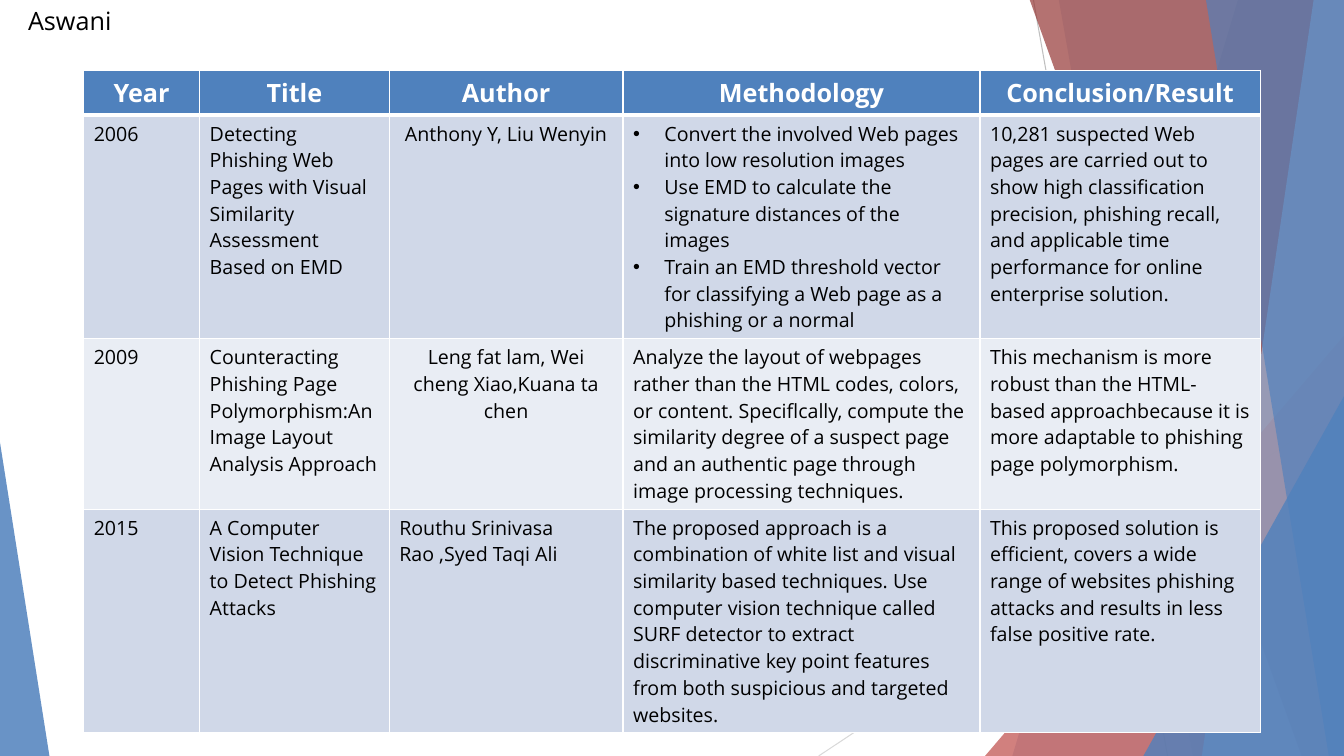
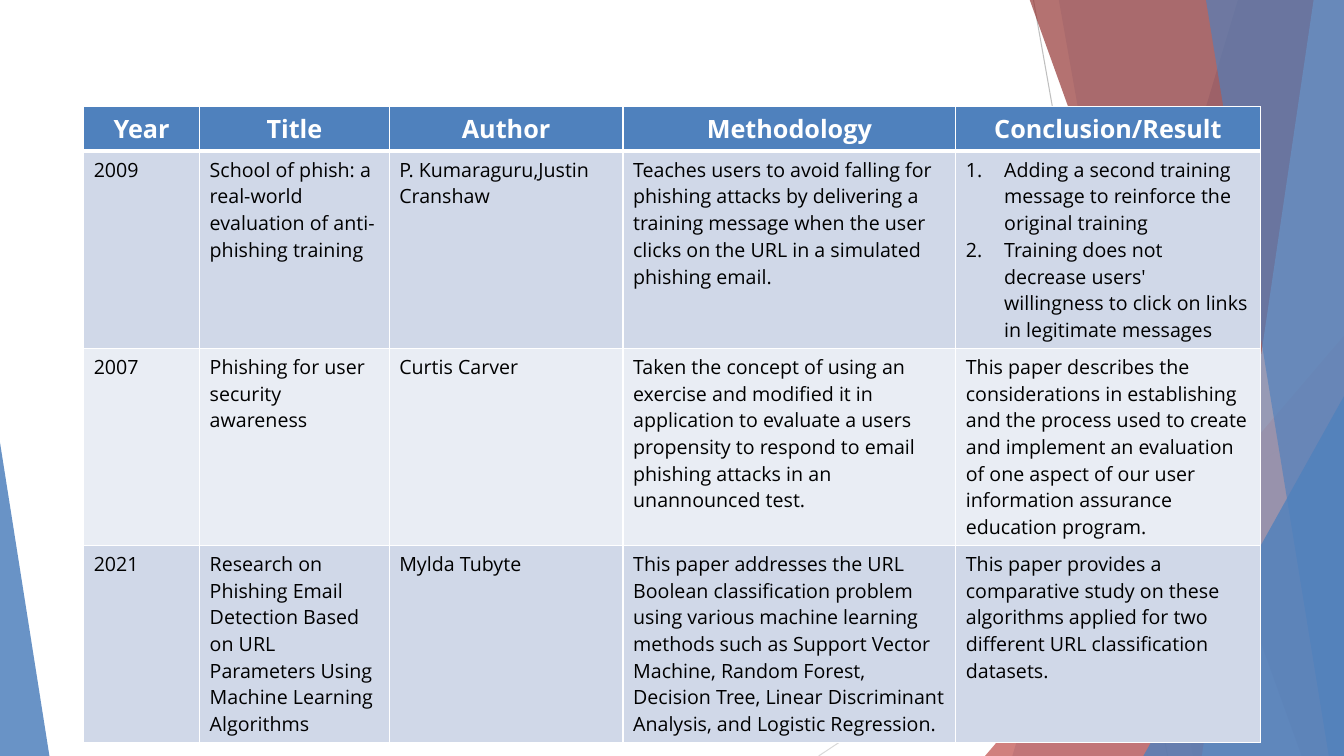
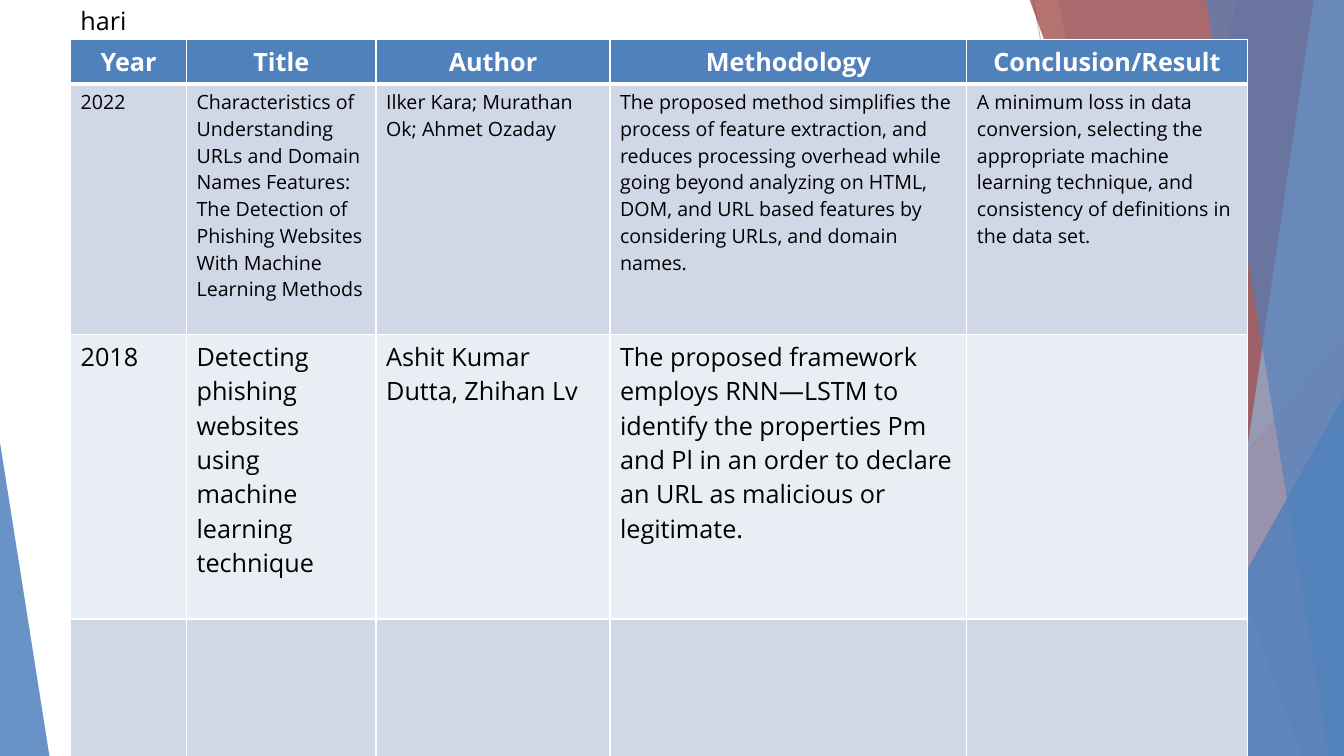
"""Literature survey: three slides of tables over a faceted background."""
from dataclasses import dataclass

from lxml import etree
from pptx import Presentation
from pptx import util as u
from pptx.dml.color import RGBColor
from pptx.enum import shapes, text
from pptx.oxml import ns

HEADINGS = ("Year", "Title", "Author", "Methodology", "Conclusion/Result")

# A cell is plain text or a Listing; the keys of a survey are its layout.


@dataclass(frozen=True)
class Listing:
    """Cell content shown as a bulleted or numbered list."""
    marker: str
    indent: float
    items: tuple


WIDE_METHOD = (1.15, 1.88, 2.32, 3.54, 2.78)
WIDE_RESULT = (1.15, 1.88, 2.32, 3.3, 3.02)
EVEN_ROWS = (0.31, 1.66, 1.66, 1.66)
TALL_ROWS = (0.31, 2.49, 2.82, 1.66)

SURVEYS = [
    dict(
        presenter=("Aswani", 0.18, 1.55), at=(0.83, 0.7),
        cols=WIDE_METHOD, heights=EVEN_ROWS, centred={(1, 2), (2, 2)}, large=set(),
        rows=[
            ("2006",
             "Detecting Phishing Web Pages with Visual Similarity Assessment Based on EMD",
             "Anthony Y, Liu Wenyin",
             Listing("•", 0.31, (
                 "Convert the involved Web pages into low resolution images",
                 "Use EMD to calculate the signature distances of the images",
                 "Train an EMD threshold vector for classifying a Web page as a "
                 "phishing or a normal")),
             "10,281 suspected Web pages are carried out to show high classification "
             "precision, phishing recall, and applicable time performance for online "
             "enterprise solution."),
            ("2009",
             "Counteracting Phishing Page Polymorphism:An Image Layout Analysis Approach",
             "Leng fat lam, Wei cheng Xiao,Kuana ta chen",
             "Analyze the layout of webpages rather than the HTML codes, colors, or "
             "content. Speciflcally, compute the similarity degree of a suspect page and "
             "an authentic page through image processing techniques.",
             "This mechanism is more robust than the HTML-based approachbecause it is "
             "more adaptable to phishing page polymorphism."),
            ("2015",
             "A Computer Vision Technique to Detect Phishing Attacks",
             "Routhu Srinivasa Rao ,Syed Taqi Ali",
             "The proposed approach is a combination of white list and visual similarity "
             "based techniques. Use computer vision technique called SURF detector to "
             "extract discriminative key point features from both suspicious and targeted "
             "websites.",
             "This proposed solution is efficient, covers a wide range of websites "
             "phishing attacks and results in less false positive rate."),
        ]),
    dict(
        presenter=None, at=(0.83, 1.06),
        cols=WIDE_RESULT, heights=EVEN_ROWS, centred=set(), large=set(),
        rows=[
            ("2009",
             "School of phish: a real-world evaluation of anti-phishing training",
             "P. Kumaraguru,Justin Cranshaw",
             "Teaches users to avoid falling for phishing attacks by delivering a training "
             "message when the user clicks on the URL in a simulated phishing email.",
             Listing("1.", 0.38, (
                 "Adding a second training message to reinforce the original training",
                 "Training does not decrease users' willingness to click on links in "
                 "legitimate messages"))),
            ("2007",
             "Phishing for user security awareness",
             "Curtis Carver",
             "Taken the concept of using an exercise and modified it in application to "
             "evaluate a users propensity to respond to email phishing attacks in an "
             "unannounced test.",
             "This paper describes the considerations in establishing and the process used "
             "to create and implement an evaluation of one aspect of our user information "
             "assurance education program."),
            ("2021",
             "Research on Phishing Email Detection Based on URL Parameters Using Machine "
             "Learning Algorithms",
             "Mylda Tubyte",
             "This paper addresses the URL Boolean classification problem using various "
             "machine learning methods such as Support Vector Machine, Random Forest, "
             "Decision Tree, Linear Discriminant Analysis, and Logistic Regression.",
             "This paper provides a comparative study on these algorithms applied for two "
             "different URL classification datasets."),
        ]),
    dict(
        presenter=("hari", 0.7, 1.4), at=(0.7, 0.39),
        cols=WIDE_METHOD, heights=TALL_ROWS, centred=set(), large={2},
        rows=[
            ("2022",
             "Characteristics of Understanding URLs and Domain Names Features: The "
             "Detection of Phishing Websites With Machine Learning Methods",
             "Ilker Kara; Murathan Ok; Ahmet Ozaday",
             "The proposed method simplifies the process of feature extraction, and reduces "
             "processing overhead while going beyond analyzing on HTML, DOM, and URL based "
             "features by considering URLs, and domain names.",
             "A minimum loss in data conversion, selecting the appropriate machine learning "
             "technique, and consistency of definitions in the data set."),
            ("2018",
             "Detecting phishing websites using machine learning technique",
             "Ashit Kumar Dutta, Zhihan Lv",
             "The proposed framework employs RNN—LSTM to identify the properties Pm and Pl "
             "in an order to declare an URL as malicious or legitimate.",
             ""),
            ("",) * len(HEADINGS),
        ]),
]


@dataclass(frozen=True)
class Theme:
    """Colours, font and type sizes of the deck."""
    font: str = "Open Sans"
    large: int = 18
    body: int = 14
    ink: str = "000000"
    white: str = "FFFFFF"
    blue: str = "4F81BD"
    pale_blue: str = "95B3D7"
    red: str = "C0504D"
    dark_red: str = "953735"
    band_odd: str = "D0D8E8"
    band_even: str = "E9EDF4"
    rule: float = 1
    header_rule: float = 3


T = Theme()
W, H = 13.33, 7.5
TOP = -0.01

RAYS = [((10.25, 0), (11.58, H), "BFBFBF"), ((W, 4.03), (8.12, H), "D9D9D9")]
# Facets from back to front. A band runs from (top x, bottom x) to the right edge;
# a wedge is (left, top, width, apex share) and stands on the bottom edge.
FACETS = [
    ("band", (12.28, 10.04), T.blue, 30),
    ("band", (10.5, 11.83), T.blue, 20),
    ("wedge", (9.77, 3.33, 3.56, 1), T.red, 72),
    ("band", (10.21, 12.91), T.dark_red, 70),
    ("band", (13.03, 11.92), T.pale_blue, 70),
    ("band", (11.96, 13.18), T.blue, 65),
    ("wedge", (11.34, 3.93, 1.99, 1), T.blue, 80),
    ("wedge", (0, 4.39, 0.49, 0), T.blue, 85),
]


def inches(*values):
    """Convert several lengths to EMU."""
    return [u.Inches(v) for v in values]


def add_xml(parent, tag, **attrs):
    """Append a DrawingML element."""
    return etree.SubElement(parent, ns.qn(tag), attrs)


def write(tf, content, size=T.body, color=T.ink, bold=False, align=text.PP_ALIGN.LEFT):
    """Fill a text frame with plain text or a Listing in one format."""
    listing = content if isinstance(content, Listing) else None
    for i, line in enumerate(listing.items if listing else (content,)):
        p = tf.add_paragraph() if i else tf.paragraphs[0]
        p.alignment = align
        f = p.font
        if line:
            r = p.add_run()
            r.text, f = line, r.font
        f.name, f.size, f.bold = T.font, u.Pt(size), bold
        f.color.rgb = RGBColor.from_string(color)
        if listing:
            mark(p, listing)


def mark(p, listing):
    """Give a paragraph its hanging indent and its bullet or number."""
    pPr = p._p.get_or_add_pPr()
    indent = u.Inches(listing.indent)
    pPr.set("marL", str(indent))
    pPr.set("indent", str(-indent))
    if listing.marker == "1.":
        add_xml(pPr, "a:buAutoNum", type="arabicPeriod")
    else:
        add_xml(pPr, "a:buFont", typeface="Arial")
        add_xml(pPr, "a:buChar", char=listing.marker)


def border(cell, **widths):
    """Draw white cell borders; widths are points by side L, R, T, B."""
    tcPr = cell._tc.get_or_add_tcPr()
    for side, width in widths.items():
        ln = add_xml(tcPr, "a:ln" + side, w=str(u.Pt(width)))
        add_xml(add_xml(ln, "a:solidFill"), "a:srgbClr", val=T.white)


def paint(fill, color):
    """Set a solid fill."""
    fill.solid()
    fill.fore_color.rgb = RGBColor.from_string(color)


def add_facet(s, kind, place, color, opacity):
    """Draw one translucent band or wedge of the background."""
    if kind == "band":
        top_x, bottom_x = place
        points = [inches(x, y) for x, y in
                  ((top_x, TOP), (W, TOP), (W, H), (bottom_x, H))]
        builder = s.shapes.build_freeform(*points[0])
        builder.add_line_segments(points[1:], close=True)
        sp = builder.convert_to_shape()
    else:
        left, top, width, apex = place
        sp = s.shapes.add_shape(shapes.MSO_SHAPE.ISOSCELES_TRIANGLE,
                                *inches(left, top, width, H - top))
        sp.adjustments[0] = apex
    sp.shadow.inherit = False
    sp.line.fill.background()
    paint(sp.fill, color)
    clr = sp._element.spPr.find(".//" + ns.qn("a:srgbClr"))
    add_xml(clr, "a:alpha", val=str(opacity * 1000))


def add_background(s):
    """Draw the rays and facets every slide shares."""
    for start, end, color in RAYS:
        ray = s.shapes.add_connector(shapes.MSO_CONNECTOR.STRAIGHT, *inches(*start, *end))
        ray.line.color.rgb = RGBColor.from_string(color)
        ray.line.width = u.Pt(0.75)
        add_xml(ray._element.spPr, "a:effectLst")
    for facet in FACETS:
        add_facet(s, *facet)


def add_survey(s, at, cols, heights, rows, centred, large):
    """Add the literature table; centred holds cells, large holds rows."""
    frame = s.shapes.add_table(len(heights), len(cols),
                               *inches(*at, sum(cols), sum(heights)))
    table = frame.table
    for col, width in zip(table.columns, cols):
        col.width = u.Inches(width)
    for row, height in zip(table.rows, heights):
        row.height = u.Inches(height)
    for i, row in enumerate([HEADINGS, *rows]):
        header = i == 0
        fill = T.blue if header else T.band_odd if i % 2 else T.band_even
        for j, content in enumerate(row):
            cell = table.cell(i, j)
            border(cell, L=T.rule, R=T.rule,
                   T=T.header_rule if i == 1 else T.rule,
                   B=T.header_rule if header else T.rule)
            paint(cell.fill, fill)
            middle = header or (i, j) in centred
            write(cell.text_frame, content, bold=header,
                  size=T.large if header or i in large else T.body,
                  color=T.white if header else T.ink,
                  align=text.PP_ALIGN.CENTER if middle else text.PP_ALIGN.LEFT)


def add_presenter(s, name, left, width):
    """Write the presenter's name at the top edge."""
    tf = s.shapes.add_textbox(*inches(left, 0, width, 0.4)).text_frame
    tf.word_wrap = True
    tf.auto_size = text.MSO_AUTO_SIZE.SHAPE_TO_FIT_TEXT
    write(tf, name, size=T.large)


def main():
    """Build and save the deck."""
    prs = Presentation()
    prs.slide_width, prs.slide_height = inches(W, H)
    for survey in SURVEYS:
        s = prs.slides.add_slide(prs.slide_layouts[6])
        add_background(s)
        add_survey(s, **{k: v for k, v in survey.items() if k != "presenter"})
        if survey["presenter"]:
            add_presenter(s, *survey["presenter"])
    prs.save("out.pptx")


main()
